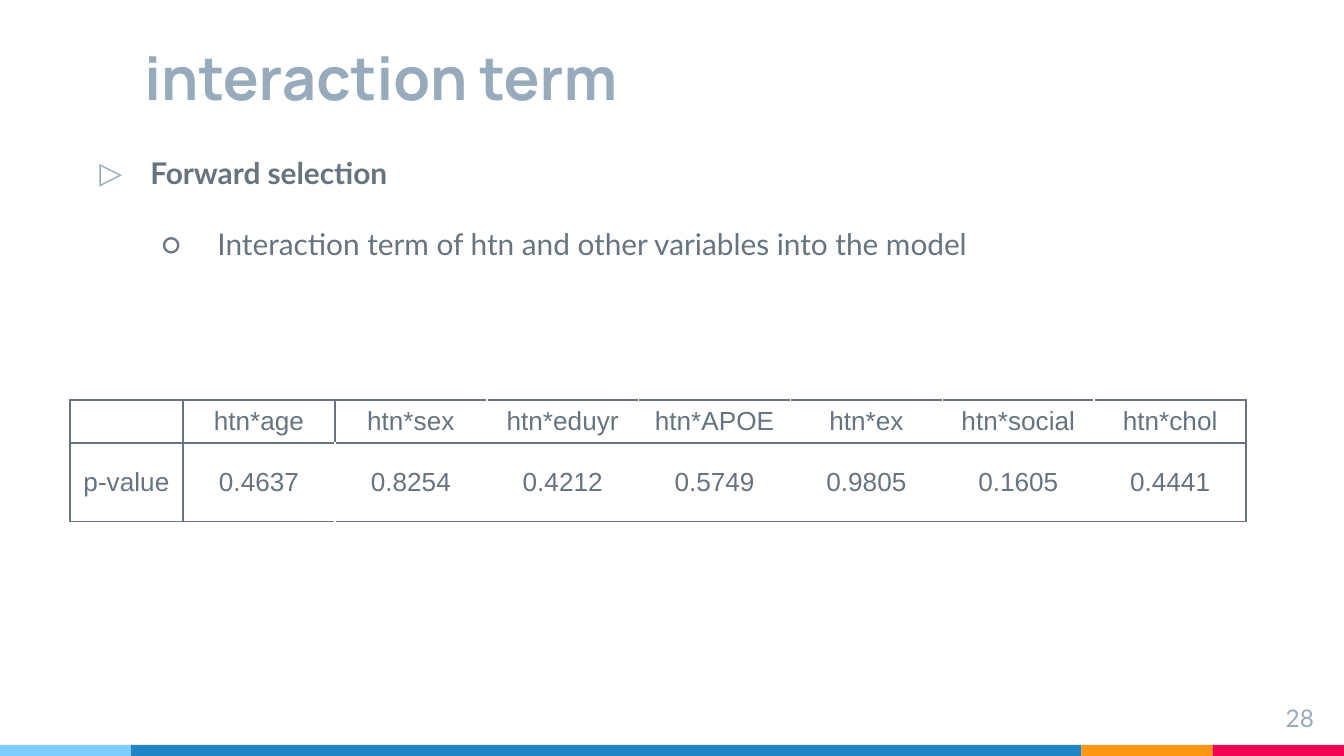
from lxml import etree
from pptx import Presentation, util as u
from pptx.dml.color import RGBColor
from pptx.enum import shapes, text
from pptx.oxml.ns import qn

SLATE, MIST = "677480", "97ABBC"
HEADINGS = ["", "htn*age", "htn*sex", "htn*eduyr", "htn*APOE", "htn*ex",
            "htn*social", "htn*chol"]
P_VALUES = ["p-value", "0.4637", "0.8254", "0.4212", "0.5749", "0.9805",
            "0.1605", "0.4441"]
STRIPE = [("7ECEFD", 2.48), ("2185C5", 17.96), ("FF9715", 2.48), ("F20253", 2.48)]


def rgb(color):
    return RGBColor.from_string(color)


class SlideBuilder:
    """Holds the shared style and the slide being filled."""
    heading_font, body_font, table_font = "Manrope", "Lato", "Arial"
    inset = u.Cm(0.25)

    def __init__(self, slide):
        self.slide = slide

    def place(self, shape, left, top, width, height):
        shape.left, shape.top = u.Cm(left), u.Cm(top)
        shape.width, shape.height = u.Cm(width), u.Cm(height)

    def frame(self, shape, anchor):
        box = shape.text_frame
        box.word_wrap = True
        box.auto_size = text.MSO_AUTO_SIZE.NONE
        box.vertical_anchor = anchor
        box.margin_left = box.margin_right = self.inset
        box.margin_top = box.margin_bottom = self.inset
        return box

    def style(self, paragraph, font, size, color, align, bold=False):
        paragraph.alignment = align
        paragraph.font.name = font
        paragraph.font.size = u.Pt(size)
        paragraph.font.bold = bold
        paragraph.font.color.rgb = rgb(color)

    def stripe(self, bands, top, height):
        left = 0
        for color, width in bands:
            band = self.slide.shapes.add_shape(
                shapes.MSO_SHAPE.RECTANGLE, u.Cm(left), u.Cm(top), u.Cm(width), u.Cm(height))
            band.shadow.inherit = False
            band.fill.solid()
            band.fill.fore_color.rgb = rgb(color)
            band.line.fill.background()
            left += width

    def title(self, wording, *area):
        title = self.slide.shapes.title
        self.place(title, *area)
        heading = self.frame(title, text.MSO_ANCHOR.BOTTOM).paragraphs[0]
        heading.text = wording
        self.style(heading, self.heading_font, 32, MIST, text.PP_ALIGN.LEFT, True)

    def page_number(self, number, *area):
        corner = self.slide.shapes.add_textbox(*map(u.Cm, area))
        page = self.frame(corner, text.MSO_ANCHOR.TOP).paragraphs[0]
        page.text = number
        self.style(page, self.body_font, 13, MIST, text.PP_ALIGN.RIGHT)

    def bullet(self, paragraph, mark, color, margin, hanging):
        props = paragraph._p.get_or_add_pPr()
        props.set("marL", str(u.Cm(margin)))
        props.set("indent", str(-u.Cm(hanging)))
        tint = etree.SubElement(props, qn("a:buClr"))
        etree.SubElement(tint, qn("a:srgbClr"), val=color)
        etree.SubElement(props, qn("a:buFont"), typeface=self.body_font)
        etree.SubElement(props, qn("a:buChar"), char=mark)

    def bullets(self, items, *area):
        body = self.slide.placeholders[1]
        self.place(body, *area)
        outline = self.frame(body, text.MSO_ANCHOR.TOP)
        for level, (wording, mark, color, margin, hanging, gap) in enumerate(items):
            point = outline.add_paragraph() if level else outline.paragraphs[0]
            point.text = wording
            point.level = level
            self.bullet(point, mark, color, margin, hanging)
            point.space_before = u.Pt(gap)
            self.style(point, self.body_font, 16, SLATE, text.PP_ALIGN.LEFT, level == 0)

    def borders(self, cell, sides):
        props = cell._tc.get_or_add_tcPr()
        for side in sides:
            line = etree.SubElement(props, qn(f"a:ln{side}"), w=str(u.Pt(1)))
            fill = etree.SubElement(line, qn("a:solidFill"))
            etree.SubElement(fill, qn("a:srgbClr"), val=SLATE)

    def table(self, rows, left, top, widths, heights):
        table = self.slide.shapes.add_table(
            len(rows), len(widths), u.Cm(left), u.Cm(top),
            u.Cm(sum(widths)), u.Cm(sum(heights))).table
        table.first_row = table.horz_banding = False
        for column, width in zip(table.columns, widths):
            column.width = u.Cm(width)
        for r, (values, height) in enumerate(zip(rows, heights)):
            table.rows[r].height = u.Cm(height)
            # Vertical rules, counted from the left edge of the table
            rules = {0, 1, len(widths)} | ({2} if r == 0 else set())
            for c, value in enumerate(values):
                cell = table.cell(r, c)
                sides = ["L"] * (c in rules) + ["R"] * (c + 1 in rules) + ["T", "B"]
                self.borders(cell, sides)
                cell.fill.background()
                cell.margin_left = cell.margin_right = u.Cm(0.1)
                cell.vertical_anchor = text.MSO_ANCHOR.MIDDLE
                entry = cell.text_frame.paragraphs[0]
                entry.text = value
                self.style(entry, self.table_font, 14, SLATE, text.PP_ALIGN.CENTER)


def main():
    deck = Presentation()
    deck.slide_width, deck.slide_height = u.Cm(25.4), u.Cm(14.29)
    page = SlideBuilder(deck.slides.add_slide(deck.slide_layouts[1]))
    page.stripe(STRIPE, 14.08, 0.21)
    page.title("interaction term", 2.48, 0, 17.96, 2.38)
    page.page_number("28", 23.55, 13.05, 1.53, 0.86)
    page.table([HEADINGS, P_VALUES], 1.32, 7.56, [2.14] + [2.87] * 7, [0.81, 1.49])
    page.bullets([
        ("Forward selection", "▷", MIST, 1.27, 0.96, 0),
        ("Interaction term of htn and other variables into the model",
         "○", SLATE, 2.54, 1.06, 19),
    ], 1.32, 2.67, 19.7, 4.9)
    deck.save("out.pptx")


if __name__ == "__main__":
    main()
